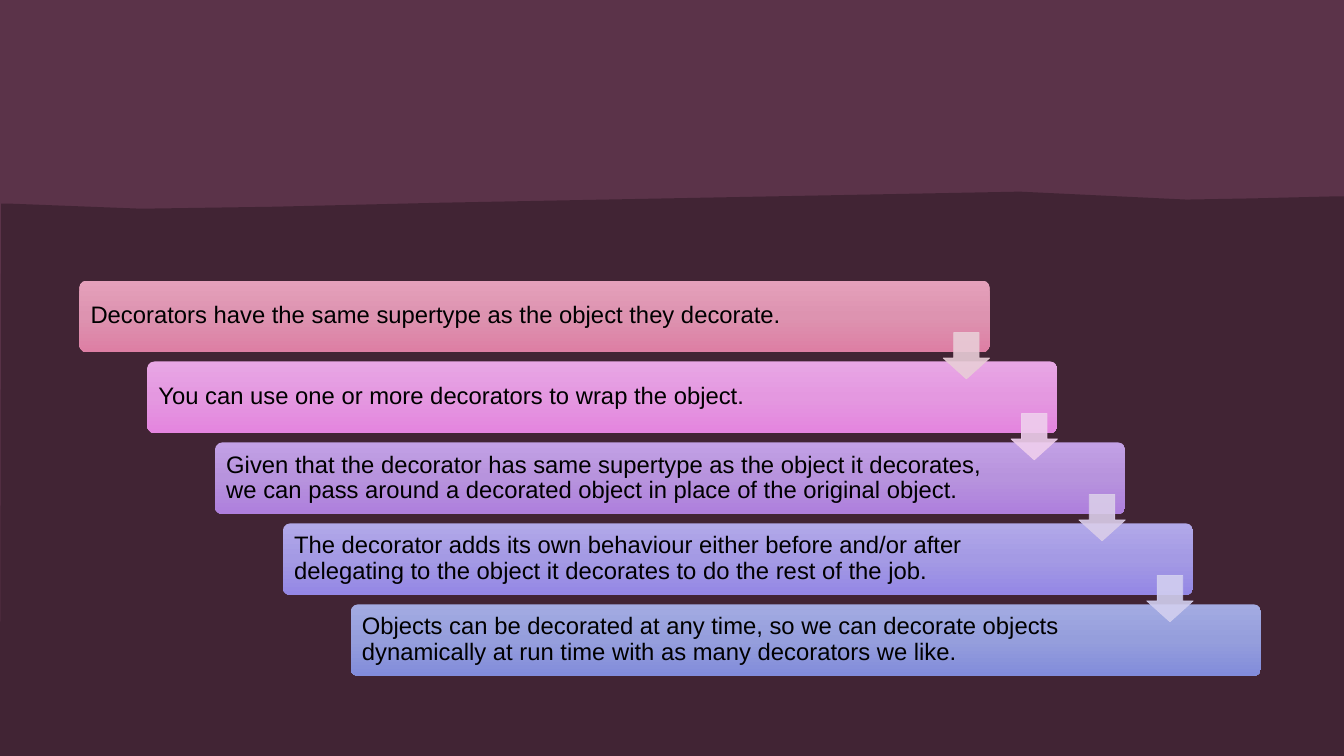
"""Build a slide that steps through five facts about decorators."""
from copy import deepcopy

from lxml import etree
from pptx import Presentation
from pptx.dml.color import RGBColor
from pptx.enum.shapes import MSO_SHAPE
from pptx.enum.text import MSO_ANCHOR, PP_ALIGN
from pptx.oxml.ns import qn
from pptx.util import Cm, Pt

ROUND, ARROW = MSO_SHAPE.ROUNDED_RECTANGLE, MSO_SHAPE.DOWN_ARROW
MIDDLE, LEFT = MSO_ANCHOR.MIDDLE, PP_ALIGN.LEFT

PLUM = RGBColor(0x5B, 0x33, 0x49)
DARK = RGBColor(0x41, 0x24, 0x34)
BLACK = RGBColor(0, 0, 0)
ROSE = [RGBColor(0xE5, 0xA0, 0xBB), RGBColor(0xDD, 0x93, 0xB0), RGBColor(0xDD, 0x7F, 0xA4)]
PINK = [RGBColor(0xE8, 0xA6, 0xE5), RGBColor(0xE4, 0x98, 0xE0), RGBColor(0xE4, 0x85, 0xDF)]
MAUVE = [RGBColor(0xC2, 0xA0, 0xE5), RGBColor(0xB7, 0x93, 0xDD), RGBColor(0xAE, 0x7F, 0xDD)]
LILAC = [RGBColor(0xB1, 0xA8, 0xE9), RGBColor(0xA4, 0x9A, 0xE4), RGBColor(0x94, 0x87, 0xE5)]
BLUE = [RGBColor(0xA3, 0xAB, 0xE2), RGBColor(0x95, 0x9E, 0xDC), RGBColor(0x82, 0x8C, 0xDB)]
PALE = [RGBColor(0xE9, 0xCD, 0xD7), RGBColor(0xEF, 0xCE, 0xED),
        RGBColor(0xDA, 0xCD, 0xE9), RGBColor(0xD2, 0xCF, 0xEF)]

WIDTH, HEIGHT = 33.87, 19.05
STEPS = [
    ("Decorators have the same supertype as the object they decorate.", ROSE),
    ("You can use one or more decorators to wrap the object.", PINK),
    ("Given that the decorator has same supertype as the object it decorates, "
     "we can pass around a decorated object in place of the original object.", MAUVE),
    ("The decorator adds its own behaviour either before and/or after "
     "delegating to the object it decorates to do the rest of the job.", LILAC),
    ("Objects can be decorated at any time, so we can decorate objects "
     "dynamically at run time with as many decorators we like.", BLUE),
]
LEFT_X, TOP_Y = 2, 7.07
STEP_X, STEP_Y = 1.71, 2.04
BAR_W, BAR_H = 22.94, 1.8
ARROW_SIZE, ARROW_DROP = 1.17, 1.31
RIDGE = [(0, HEIGHT), (0.03, 5.13), (0.2, 5.13), (3.56, 5.26), (6.91, 5.21),
         (11.07, 5.11), (25.7, 4.83), (29.9, 5.03), (31.57, 5), (33.6, 4.95),
         (WIDTH, 4.95), (WIDTH, HEIGHT)]


class Painter:
    """Hold the style and the current slide."""

    font, size = "Arial", Pt(17)

    def __init__(self, slide):
        self.slide = slide

    def ground(self, color):
        """Fill the slide background."""
        fill = self.slide.background.fill
        fill.solid()
        fill.fore_color.rgb = color

    def outline(self, points, color):
        """Draw a filled closed outline."""
        spots = [(Cm(x), Cm(y)) for x, y in points]
        form = self.slide.shapes.build_freeform(*spots[0])
        form.add_line_segments(spots[1:])
        shape = form.convert_to_shape()
        shape.shadow.inherit = False
        shape.fill.solid()
        shape.fill.fore_color.rgb = color
        shape.line.fill.background()

    def preset(self, kind, box, adjust):
        """Add a preset shape without shadow."""
        shape = self.slide.shapes.add_shape(kind, *map(Cm, box))
        shape.shadow.inherit = False
        for index, value in enumerate(adjust):
            shape.adjustments[index] = value
        return shape

    def bar(self, box, text, colors):
        """Add a rounded bar with a gradient and its text."""
        shape = self.preset(ROUND, box, [0.1])
        shape.line.fill.background()
        fill = shape.fill
        fill.gradient()
        fill.gradient_angle = 270
        first = shape.element.spPr.find(".//" + qn("a:gs"))
        middle = deepcopy(first)
        middle.set("pos", "50000")
        first.addnext(middle)
        for stop, color in zip(fill.gradient_stops, colors):
            stop.color.rgb = color
        frame = shape.text_frame
        frame.word_wrap = True
        frame.vertical_anchor = MIDDLE
        frame.margin_left, frame.margin_right = Cm(0.23), Cm(3.1)
        frame.margin_top = frame.margin_bottom = Cm(0.18)
        para = frame.paragraphs[0]
        para.text = text
        para.alignment = LEFT
        para.line_spacing = 0.9
        para.font.name, para.font.size = self.font, self.size
        para.font.color.rgb = BLACK

    def arrow(self, box, color):
        """Add a slightly transparent down arrow."""
        shape = self.preset(ARROW, box, [0.55, 0.45])
        shape.line.width = Pt(0.5)
        for fill in (shape.fill, shape.line.fill):
            fill.solid()
            fill.fore_color.rgb = color
        for tint in shape.element.spPr.iter(qn("a:srgbClr")):
            etree.SubElement(tint, qn("a:alpha"), val="90000")


deck = Presentation()
deck.slide_width, deck.slide_height = Cm(WIDTH), Cm(HEIGHT)
paint = Painter(deck.slides.add_slide(deck.slide_layouts[6]))
paint.ground(PLUM)
paint.outline(RIDGE, DARK)
spots = [(LEFT_X + i * STEP_X, TOP_Y + i * STEP_Y) for i in range(len(STEPS))]
for (x, y), (text, colors) in zip(spots, STEPS):
    paint.bar((x, y, BAR_W, BAR_H), text, colors)
for (x, y), color in zip(spots, PALE):
    paint.arrow((x + BAR_W - ARROW_SIZE, y + ARROW_DROP, ARROW_SIZE, ARROW_SIZE), color)
deck.save("out.pptx")
